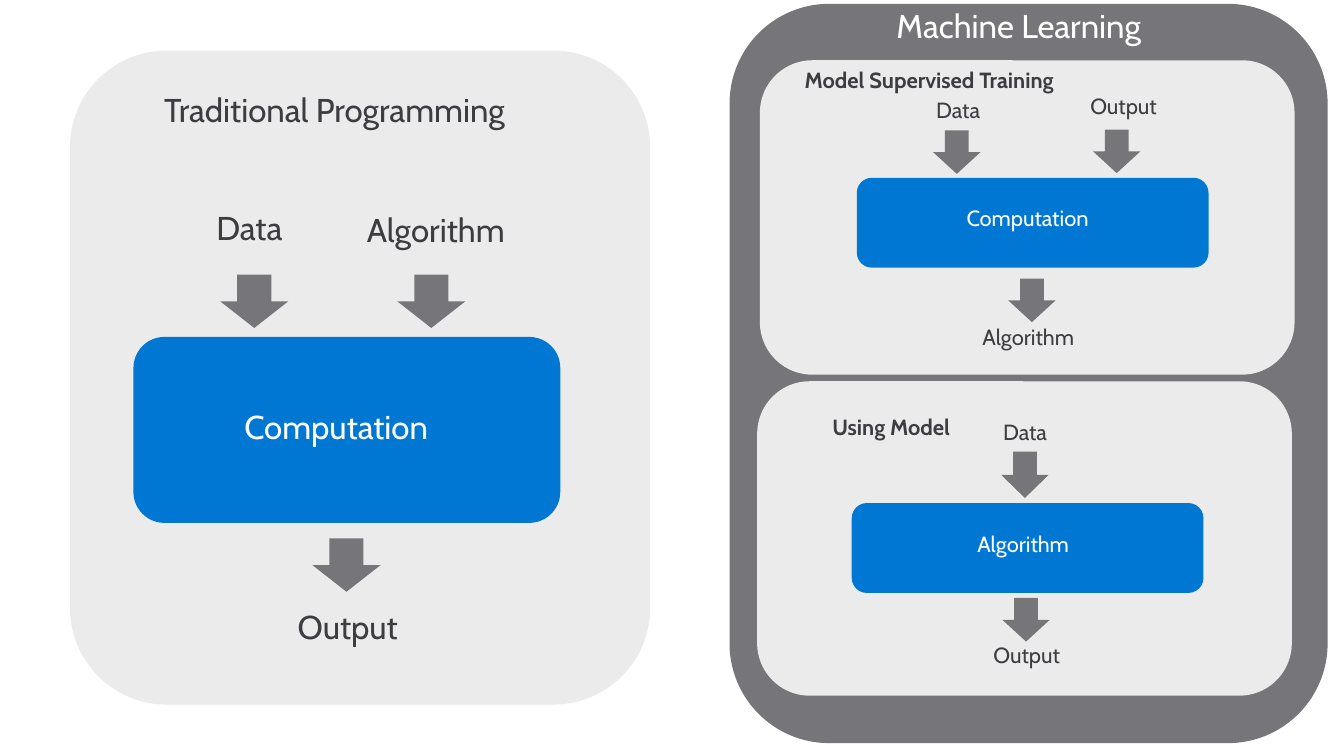
import pptx
import pptx.util
import pptx.dml.color
import pptx.enum.shapes
import pptx.enum.text

Cm, Pt = pptx.util.Cm, pptx.util.Pt
KIND = pptx.enum.shapes.MSO_SHAPE
FIT = pptx.enum.text.MSO_AUTO_SIZE.SHAPE_TO_FIT_TEXT

FONT = "Cabin"
HEX = {"gray": "75757A", "pale": "EBEBEB", "blue": "0078D3",
       "ink": "3C3C41", "white": "FFFFFF"}

# Sizes shared by each half of the slide, in cm
INNER = (13.74, 8.08)
STEP = (9.04, 2.31)
BIG = (1.75, 1.37)
SMALL = (1.22, 1.12)
HIGH = {24: 1.75, 16: 1.45}

# Panels and steps: left, top, size, colour
BOXES = [
    (18.75, 0.1, (15.37, 19), "gray"),
    (1.8, 1.3, (14.91, 16.81), "pale"),
    (19.53, 1.55, INNER, "pale"),
    (19.46, 9.8, INNER, "pale"),
    (3.43, 8.66, (10.97, 4.78), "blue"),
    (22.02, 4.57, STEP, "blue"),
    (21.89, 12.93, STEP, "blue"),
]

# Arrows: left, top, size
ARROWS = [
    (5.66, 7.06, BIG), (10.21, 7.06, BIG), (8.03, 13.84, BIG),
    (23.98, 3.35, SMALL), (28.09, 3.33, SMALL), (25.91, 7.16, SMALL),
    (25.73, 11.61, (1.22, 1.19)), (25.76, 15.37, SMALL),
]

# Headings: text, left, top, width, points, colour, bold
HEADS = [
    ("Traditional Programming", 3.71, 2.01, 10.39, 24, "ink", False),
    ("Machine Learning", 22.53, -0.15, 7.75, 24, "white", False),
    ("Model Supervised Training", 20.17, 1.47, 8.18, 16, "ink", True),
    ("Using Model", 20.88, 10.39, 4.42, 16, "ink", True),
]

# Labels: text, left, top, width, points, colour
LABELS = [
    ("Data", 5.05, 5.05, 3, 24, "ink"),
    ("Algorithm", 8.92, 5.08, 5.13, 24, "ink"),
    ("Computation", 5.77, 10.16, 6.3, 24, "white"),
    ("Output", 7.14, 15.29, 4.27, 24, "ink"),
    ("Data", 23.55, 2.26, 2.77, 16, "ink"),
    ("Output", 27.51, 2.16, 3.05, 16, "ink"),
    ("Computation", 24.33, 5.03, 6.86, 16, "white"),
    ("Algorithm", 24.74, 8.08, 5.56, 16, "ink"),
    ("Data", 25.27, 10.52, 2.29, 16, "ink"),
    ("Algorithm", 24.61, 13.41, 4.04, 16, "white"),
    ("Output", 25.02, 16.26, 4.62, 16, "ink"),
]


def tint(name):
    return pptx.dml.color.RGBColor.from_string(HEX[name])


def add_form(slide, kind, left, top, size, color):
    form = slide.shapes.add_shape(kind, Cm(left), Cm(top), *map(Cm, size))
    form.shadow.inherit = False
    form.fill.solid()
    form.fill.fore_color.rgb = tint(color)
    form.line.fill.background()


def add_text(slide, text, left, top, width, size, color, bold=False, wrap=True):
    box = slide.shapes.add_textbox(Cm(left), Cm(top), Cm(width), Cm(HIGH[size]))
    frame = box.text_frame
    frame.word_wrap = wrap
    frame.auto_size = FIT
    frame.margin_left = frame.margin_right = Cm(0.51)
    frame.margin_top = frame.margin_bottom = Cm(0.41)
    para = frame.paragraphs[0]
    para.line_spacing = 0.9
    para.space_after = Pt(6)
    run = para.add_run()
    run.text = text
    run.font.name = FONT
    run.font.size = Pt(size)
    run.font.bold = bold
    run.font.color.rgb = tint(color)


def main():
    deck = pptx.Presentation()
    deck.slide_width, deck.slide_height = Cm(34.54), Cm(19.43)
    slide = deck.slides.add_slide(deck.slide_layouts[6])

    # Panels and steps, then arrows
    for left, top, size, color in BOXES:
        add_form(slide, KIND.ROUNDED_RECTANGLE, left, top, size, color)
    for left, top, size in ARROWS:
        add_form(slide, KIND.DOWN_ARROW, left, top, size, "gray")

    # Words on top
    for head in HEADS:
        add_text(slide, *head, wrap=False)
    for label in LABELS:
        add_text(slide, *label)

    deck.save("out.pptx")


if __name__ == "__main__":
    main()
